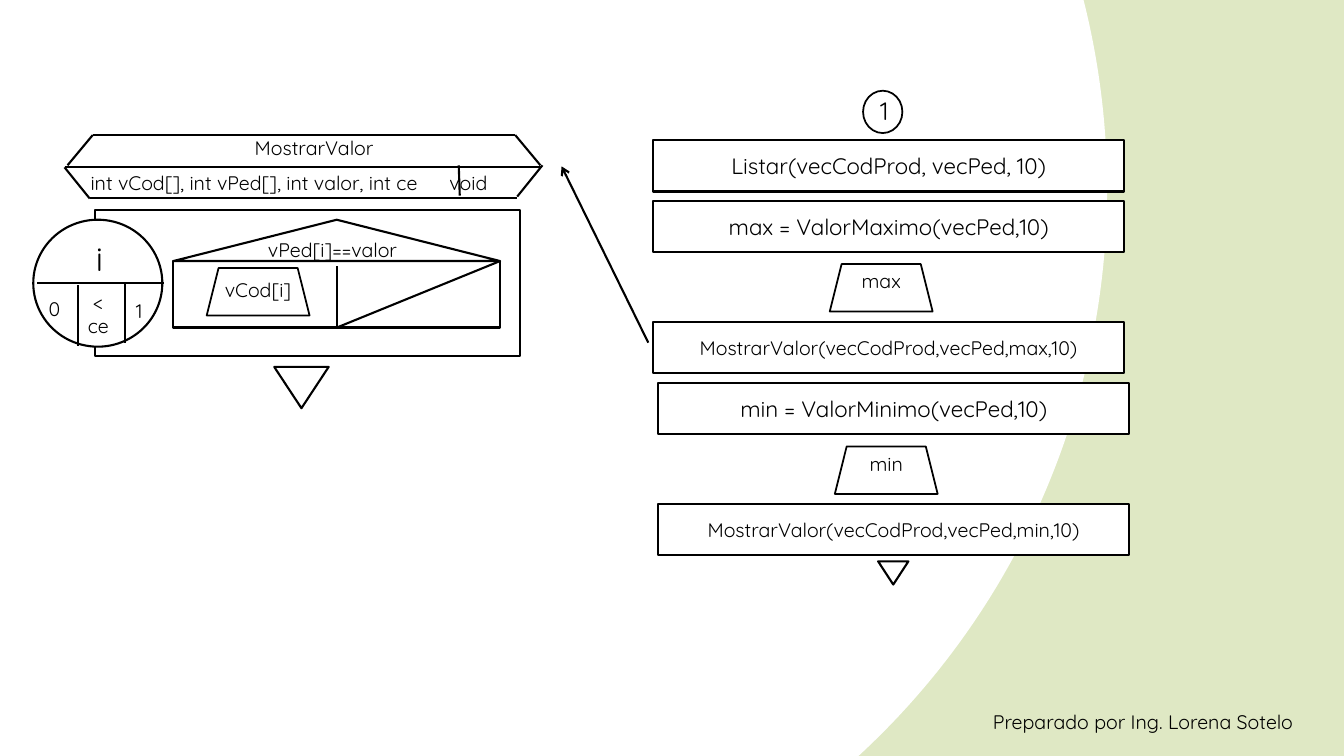
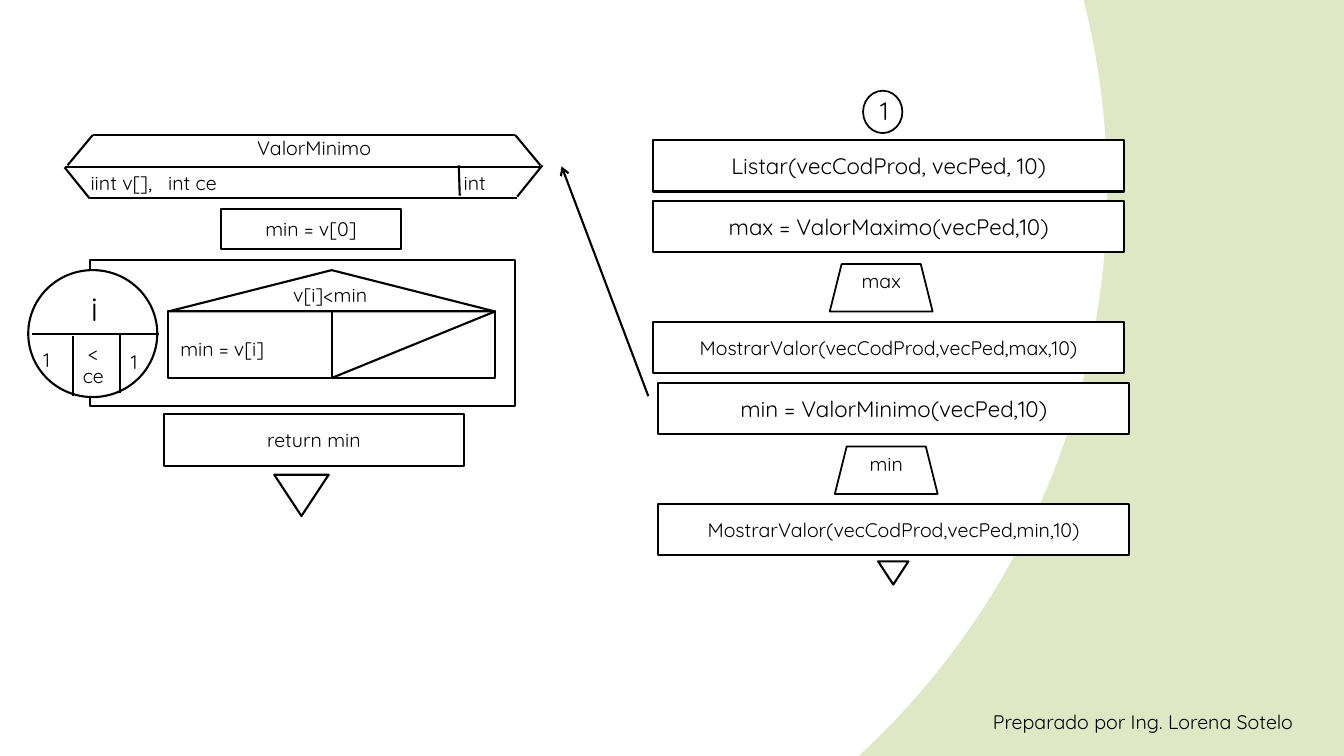
from lxml.etree import SubElement
from pptx import Presentation
from pptx.dml.color import RGBColor
from pptx.enum.dml import MSO_THEME_COLOR
from pptx.enum.shapes import MSO_CONNECTOR, MSO_SHAPE
from pptx.enum.text import MSO_ANCHOR, MSO_AUTO_SIZE, PP_ALIGN
from pptx.oxml.ns import qn
from pptx.util import Inches, Pt

BLACK = RGBColor(0, 0, 0)
WHITE = RGBColor(0xFF, 0xFF, 0xFF)
GREEN = RGBColor(0xDF, 0xE8, 0xC4)
FONT = "Quicksand"
FOOTER = "Preparado por Ing. Lorena Sotelo"

# Main program: (kind, text, size)
STEPS = [
    ("box", "Listar(vecCodProd, vecPed, 10)", 16),
    ("box", "max = ValorMaximo(vecPed,10)", 16),
    ("out", "max", 14),
    ("box", "MostrarValor(vecCodProd,vecPed,max,10)", 14),
    ("box", "min = ValorMinimo(vecPed,10)", 16),
    ("out", "min", 14),
    ("box", "MostrarValor(vecCodProd,vecPed,min,10)", 14),
]
# Lines of the function header: from x, y to x, y
HEADER = [
    (0.64, 1.66, 5.38, 1.66), (0.92, 1.34, 5.11, 1.34),
    (0.89, 1.96, 5.13, 1.96), (0.67, 1.64, 0.92, 1.34),
    (0.64, 1.66, 0.89, 1.97), (5.36, 1.64, 5.11, 1.34),
    (5.38, 1.64, 5.13, 1.95), (4.55, 1.64, 4.56, 1.94),
]
# One function a slide; tabs are measured from the start of the text
SLIDES = [
    dict(name="MostrarValor",
         args="int vCod[], int vPed[], int valor, int ce\tvoid", tabs=[3.56],
         call=3.4, loop=(0.94, 2.08), start="0", drop=0.05,
         test=("vPed[i]==valor", 2.56, 2.31, 1.57),
         show="vCod[i]", note=None, boxes=[], end=3.64),
    dict(name="ValorMinimo",
         args="iint v[],\tint ce\tint", tabs=[0.77, 3.7],
         call=3.93, loop=(0.89, 2.58), start="1", drop=0,
         test=("v[i]<min", 2.81, 2.76, 0.95),
         show=None, note=("min = v[i]", 1.69, 3.29, 1.06),
         boxes=[("min = v[0]", 2.19, 2.07, 1.79, 0.4),
                ("return min", 1.63, 4.11, 2.97, 0.51)], end=4.71),
]


def write(frame, text, size, align=None, edge=False):
    """Fill a frame, one paragraph a line."""
    for n, line in enumerate(text.split("\n")):
        para = frame.paragraphs[0] if n == 0 else frame.add_paragraph()
        para.alignment = align
        run = para.add_run()
        run.text = line
        font = run.font
        font.size, font.name = Pt(size), FONT
        font.color.rgb = BLACK
        if edge:
            props = run._r.get_or_add_rPr()
            ln = SubElement(props, qn("a:ln"), w=str(Pt(0.75)))
            fill = SubElement(ln, qn("a:solidFill"))
            SubElement(fill, qn("a:srgbClr"), val=str(BLACK))
            props.insert(0, ln)


def label(slide, text, x, y, w, h=0.34, size=14, mid=False, wrap=True,
          edge=False):
    box = slide.shapes.add_textbox(*map(Inches, (x, y, w, h)))
    frame = box.text_frame
    frame.word_wrap = wrap
    frame.auto_size = MSO_AUTO_SIZE.SHAPE_TO_FIT_TEXT
    write(frame, text, size, PP_ALIGN.CENTER if mid else None, edge)
    return box


def shape(slide, kind, x, y, w, h, fill=None, width=1.5):
    item = slide.shapes.add_shape(kind, *map(Inches, (x, y, w, h)))
    item.shadow.inherit = False
    if fill is None:
        item.fill.background()
    else:
        item.fill.solid()
        item.fill.fore_color.rgb = fill
    item.line.color.rgb = BLACK
    item.line.width = Pt(width)
    return item


def line(slide, x1, y1, x2, y2, arrow=False):
    item = slide.shapes.add_connector(
        MSO_CONNECTOR.STRAIGHT, *map(Inches, (x1, y1, x2, y2)))
    item.line.color.rgb = BLACK
    item.line.width = Pt(1.5)
    if arrow:
        SubElement(item.line._get_or_add_ln(), qn("a:tailEnd"), type="arrow")
    SubElement(item._element.spPr, qn("a:effectLst"))
    return item


def process(slide, text, x, y, w, h, size=14):
    box = shape(slide, MSO_SHAPE.FLOWCHART_PROCESS, x, y, w, h, WHITE)
    frame = box.text_frame
    frame.word_wrap = True
    frame.vertical_anchor = MSO_ANCHOR.MIDDLE
    write(frame, text, size, PP_ALIGN.CENTER)


def output(slide, text, x, y, lower=0):
    label(slide, text, x, y + lower, 1.02, mid=True)
    shape(slide, MSO_SHAPE.TRAPEZOID, x, y, 1.02, 0.47, width=1.25)


def finish(slide, x, y, w, h):
    mark = shape(slide, MSO_SHAPE.ISOSCELES_TRIANGLE, x, y, w, h, WHITE)
    mark._element.spPr.find(qn("a:xfrm")).set("flipV", "1")


def backdrop(layout):
    """White disc on green: a round gradient with a hard edge."""
    layout.background.fill.gradient()
    grad = layout.element.find(".//" + qn("a:gradFill"))
    for part in list(grad):
        grad.remove(part)
    stops = SubElement(grad, qn("a:gsLst"))
    for tone in (WHITE, GREEN):
        stop = SubElement(stops, qn("a:gs"), pos="100000")
        SubElement(stop, qn("a:srgbClr"), val=str(tone))
    ring = SubElement(grad, qn("a:path"), path="circle")
    SubElement(ring, qn("a:fillToRect"), l="50000", t="50000",
               r="100000", b="100000")


def program(slide):
    """Right column, the same on each slide."""
    for n, (kind, text, size) in enumerate(STEPS):
        late = n >= 4
        x = 6.48 + 0.05 * late
        y = 1.39 + 0.6 * n + 0.01 * late
        if kind == "box":
            process(slide, text, x, y, 4.67, 0.51, size)
        else:
            output(slide, text, x + 1.75, y + 0.03)
    finish(slide, 8.71, 5.57, 0.3, 0.23)
    shape(slide, MSO_SHAPE.OVAL, 8.56, 0.9, 0.39, 0.42, width=1.25)
    label(slide, "1", 8.6, 0.9, 0.34, 0.41, 18, mid=True)
    label(slide, FOOTER, 9.75, 6.99, 3.44, wrap=False)


def header(slide, name, args, tabs):
    for ends in HEADER:
        line(slide, *ends)
    label(slide, name, 2.19, 1.3, 1.85, mid=True)
    box = label(slide, args, 0.8, 1.65, 4.4)
    props = box.text_frame.paragraphs[0]._p.get_or_add_pPr()
    stops = SubElement(props, qn("a:tabLst"))
    for tab in tabs:
        SubElement(stops, qn("a:tab"), pos=str(Inches(tab)), algn="l")


def loop(slide, x, y, start, drop, test, show, note):
    shape(slide, MSO_SHAPE.RECTANGLE, x, y, 4.22, 1.45)
    # Counter
    shape(slide, MSO_SHAPE.OVAL, x - 0.61, y + 0.1, 1.28, 1.26, WHITE)
    line(slide, x - 0.57, y + 0.73, x + 0.69, y + 0.73)
    label(slide, "i", x - 0.05, y + 0.23, 0.16, 0.5, 24)
    label(slide, start, x - 0.52, y + 0.82, 0.16, edge=True)
    label(slide, "<\nce", x - 0.24, y + 0.75, 0.55, 0.57, mid=True, edge=True)
    label(slide, "1", x + 0.31, y + 0.84, 0.3, edge=True)
    line(slide, x + 0.3, y + 0.73, x + 0.3, y + 1.32)
    line(slide, x - 0.17, y + 0.75, x - 0.17, y + 1.35)
    # Decision
    left, top, wide, high = x + 0.78, y + 0.51, 3.24, 0.66
    half, foot = left + wide / 2, top + high
    shape(slide, MSO_SHAPE.ISOSCELES_TRIANGLE, left, y + 0.1, wide, 0.41)
    text, *place = test
    label(slide, text, *place, wrap=False)
    body = shape(slide, MSO_SHAPE.RECTANGLE, left, top, wide, high)
    split = line(slide, half, top + drop, half, foot)
    split.end_connect(body, 2)
    if not drop:
        split.begin_connect(body, 0)
    line(slide, half, foot, left + wide, top).begin_connect(body, 2)
    if show:
        output(slide, show, left + 0.33, top + 0.07, 0.05)
    if note:
        text, *place = note
        label(slide, text, *place, wrap=False)


def main():
    deck = Presentation()
    deck.slide_width, deck.slide_height = Inches(13.33), Inches(7.5)
    blank = deck.slide_layouts[6]
    backdrop(blank)
    for data in SLIDES:
        slide = deck.slides.add_slide(blank)
        program(slide)
        header(slide, data["name"], data["args"], data["tabs"])
        finish(slide, 2.72, data["end"], 0.54, 0.41)
        line(slide, 6.43, data["call"], 5.57, 1.65, arrow=True)
        loop(slide, *data["loop"], data["start"], data["drop"],
             data["test"], data["show"], data["note"])
        for box in data["boxes"]:
            process(slide, *box)
    deck.save("out.pptx")


if __name__ == "__main__":
    main()
